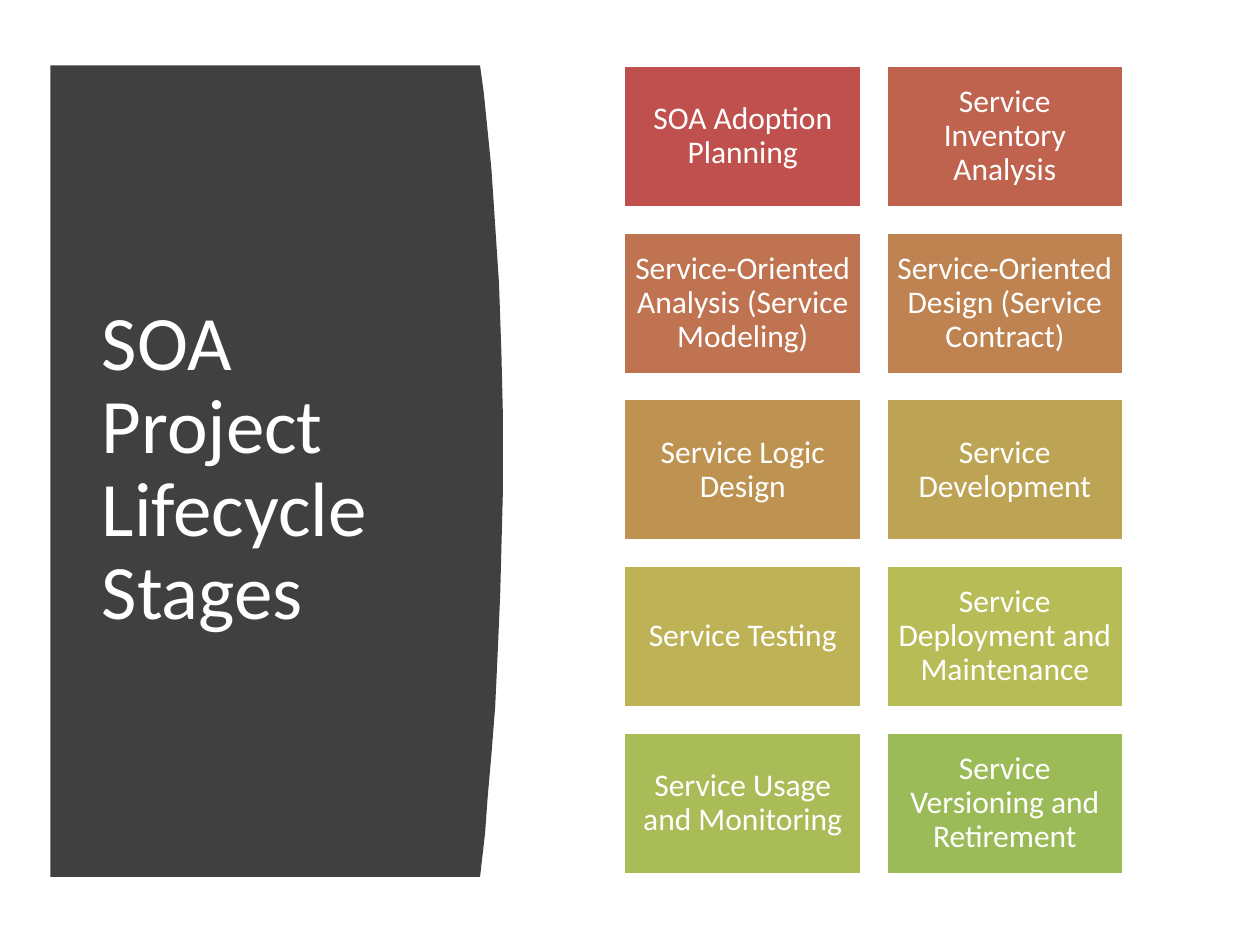
"""Build the SOA project lifecycle slide: a curved title panel and a grid of ten stages."""
from pptx import Presentation
from pptx.dml.color import RGBColor
from pptx.enum.shapes import MSO_SHAPE
from pptx.enum.text import MSO_ANCHOR, PP_ALIGN
from pptx.util import Inches, Pt


def rgb(value):
    return RGBColor.from_string(value)


def write(sp, text, size, align, margins):
    tf = sp.text_frame
    frame = {"word_wrap": True, "vertical_anchor": MSO_ANCHOR.MIDDLE, **margins}
    for key, value in frame.items():
        setattr(tf, key, value)
    p = tf.paragraphs[0]
    for key, value in {"alignment": align, "line_spacing": 0.9}.items():
        setattr(p, key, value)
    r = p.add_run()
    r.text = text
    for key, value in {"name": "Calibri", "size": Pt(size)}.items():
        setattr(r.font, key, value)
    r.font.color.rgb = rgb("FFFFFF")


prs = Presentation()
prs.slide_width, prs.slide_height = Inches(10), Inches(7.5)
s = prs.slides.add_slide(prs.slide_layouts[6])

left, top, bottom = 0.4, 0.52, 6.96
edge = [
    (3.81, top), (3.84, 0.74), (3.87, 1.04), (3.9, 1.34), (3.92, 1.64),
    (3.94, 1.94), (3.96, 2.24), (3.97, 2.53), (3.98, 2.82), (3.99, 3.25),
    (3.99, 3.94), (3.98, 4.33), (3.97, 4.71), (3.96, 4.95), (3.95, 5.18),
    (3.94, 5.4), (3.93, 5.61), (3.9, 5.99), (3.87, 6.33), (3.85, 6.61),
    (3.81, bottom),
]
outline = [(Inches(x), Inches(y)) for x, y in edge + [(left, bottom)]]
builder = s.shapes.build_freeform(Inches(left), Inches(top))
builder.add_line_segments(outline, close=True)
panel = builder.convert_to_shape()
panel.shadow.inherit = False
panel.fill.solid()
panel.fill.fore_color.rgb = rgb("404040")
panel.line.fill.background()

title = s.shapes.add_textbox(Inches(0.71), Inches(1.11), Inches(2.8), Inches(5.24))
write(title, "SOA Project Lifecycle Stages", 44, PP_ALIGN.LEFT, {})

stages = [
    ("SOA Adoption Planning", "C0504D"),
    ("Service Inventory Analysis", "BF624E"),
    ("Service-Oriented Analysis (Service Modeling)", "BF7350"),
    ("Service-Oriented Design (Service Contract)", "BE8351"),
    ("Service Logic Design", "BE9352"),
    ("Service Development", "BDA354"),
    ("Service Testing", "BDB255"),
    ("Service Deployment and Maintenance", "B8BC56"),
    ("Service Usage and Monitoring", "A9BC58"),
    ("Service Versioning and Retirement", "9BBB59"),
]
grid_left, grid_top, grid_bottom = 4.95, 0.52, 6.94
cell_w, cell_h, gap_x = 1.89, 1.13, 0.19
cols, rows = 2, 5
pitch_x = cell_w + gap_x
pitch_y = (grid_bottom - grid_top - cell_h) / (rows - 1)
sides = ("left", "top", "right", "bottom")
margins = {f"margin_{side}": Inches(0.07) for side in sides}

for i, (text, color) in enumerate(stages):
    row, col = divmod(i, cols)
    sp = s.shapes.add_shape(
        MSO_SHAPE.RECTANGLE,
        Inches(grid_left + col * pitch_x), Inches(grid_top + row * pitch_y),
        Inches(cell_w), Inches(cell_h),
    )
    sp.shadow.inherit = False
    sp.fill.solid()
    sp.fill.fore_color.rgb = rgb(color)
    sp.line.color.rgb = rgb("FFFFFF")
    sp.line.width = Pt(2)
    write(sp, text, 18, PP_ALIGN.CENTER, margins)

prs.save("out.pptx")
